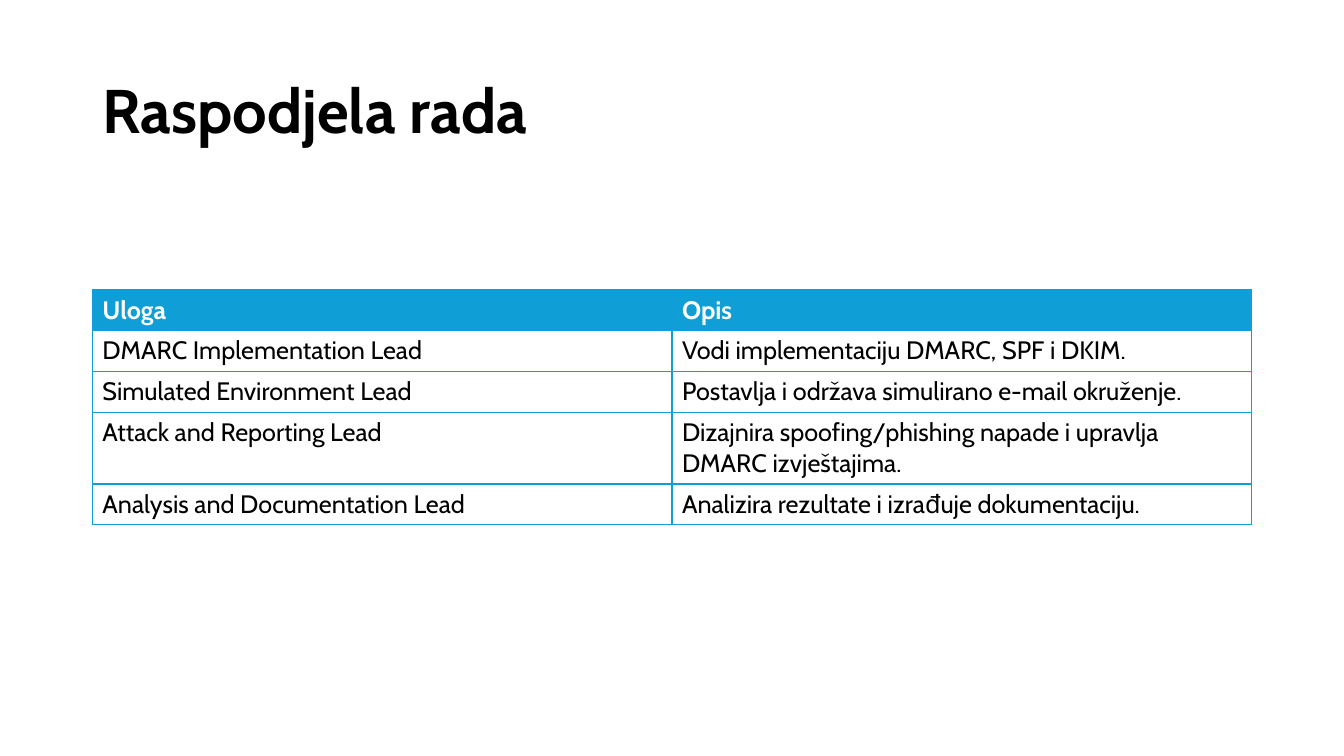
"""Build the slide that lists project roles and their descriptions."""
from dataclasses import dataclass

import pptx
import pptx.dml.color
import pptx.enum.text
import pptx.oxml
import pptx.oxml.ns
import pptx.slide
import pptx.table
import pptx.text.text
import pptx.util

Pt = pptx.util.Pt
RGBColor = pptx.dml.color.RGBColor

BLUE = RGBColor(0x0F, 0x9E, 0xD5)
BLACK = RGBColor(0x00, 0x00, 0x00)
WHITE = RGBColor(0xFF, 0xFF, 0xFF)

TITLE_ONLY = 5
LEFT = 66
WIDTH = 828
TABLE_TOP = 206.9
LINE_HEIGHT = 22
ROW_HEIGHT = 29.2

TITLE_FORMAT = {"name": "Cabin", "size": Pt(44), "bold": True}
HEADER_FORMAT = {"name": "Cabin", "size": Pt(18), "bold": True}
BODY_FORMAT = HEADER_FORMAT | {"bold": False}


@dataclass(frozen=True)
class Role:
    name: str
    description: str
    lines: int = 1


HEADER = Role("Uloga", "Opis")
ROLES = [
    Role("DMARC Implementation Lead", "Vodi implementaciju DMARC, SPF i DKIM."),
    Role("Simulated Environment Lead", "Postavlja i održava simulirano e-mail okruženje."),
    Role(
        "Attack and Reporting Lead",
        "Dizajnira spoofing/phishing napade i upravlja DMARC izvještajima.",
        lines=2,
    ),
    Role("Analysis and Documentation Lead", "Analizira rezultate i izrađuje dokumentaciju."),
]


def write_text(para: pptx.text.text._Paragraph, text: str, text_format: dict, color: RGBColor) -> None:
    span = para.add_run()
    span.text = text
    for attribute, value in text_format.items():
        setattr(span.font, attribute, value)
    span.font.color.rgb = color


def draw_title(page: pptx.slide.Slide, text: str) -> None:
    title = page.shapes.title
    placement = {"left": Pt(LEFT), "top": Pt(28.75), "width": Pt(WIDTH), "height": Pt(104.4)}
    for attribute, value in placement.items():
        setattr(title, attribute, value)
    title.text_frame.word_wrap = True
    title.text_frame.vertical_anchor = pptx.enum.text.MSO_ANCHOR.MIDDLE
    para = title.text_frame.paragraphs[0]
    para.alignment = pptx.enum.text.PP_ALIGN.LEFT
    para.line_spacing = 0.9
    write_text(para, text, TITLE_FORMAT, BLACK)


def add_borders(cell: pptx.table._Cell, color: RGBColor) -> None:
    properties = cell._tc.get_or_add_tcPr()
    for position, side in enumerate(("lnL", "lnR", "lnT", "lnB")):
        border = pptx.oxml.parse_xml(
            f'<a:{side} {pptx.oxml.ns.nsdecls("a")} w="{Pt(1)}">'
            f'<a:solidFill><a:srgbClr val="{color}"/></a:solidFill></a:{side}>'
        )
        properties.insert(position, border)


def draw_cell(cell: pptx.table._Cell, text: str, is_header: bool) -> None:
    if is_header:
        cell.fill.solid()
        cell.fill.fore_color.rgb = BLUE
    else:
        cell.fill.background()
    add_borders(cell, BLUE)
    text_format, color = (HEADER_FORMAT, WHITE) if is_header else (BODY_FORMAT, BLACK)
    write_text(cell.text_frame.paragraphs[0], text, text_format, color)


def draw_roles(page: pptx.slide.Slide, header: Role, roles: list[Role]) -> None:
    rows = [header, *roles]
    heights = [ROW_HEIGHT + LINE_HEIGHT * (role.lines - 1) for role in rows]
    frame = page.shapes.add_table(
        len(rows), 2, Pt(LEFT), Pt(TABLE_TOP), Pt(WIDTH), Pt(sum(heights))
    )
    table = frame.table
    for index, (role, height) in enumerate(zip(rows, heights)):
        table.rows[index].height = Pt(height)
        for column, text in enumerate((role.name, role.description)):
            draw_cell(table.cell(index, column), text, is_header=index == 0)


def main() -> None:
    deck = pptx.Presentation()
    deck.slide_width, deck.slide_height = Pt(960), Pt(540)
    page = deck.slides.add_slide(deck.slide_layouts[TITLE_ONLY])
    draw_title(page, "Raspodjela rada")
    draw_roles(page, HEADER, ROLES)
    deck.save("out.pptx")


if __name__ == "__main__":
    main()
